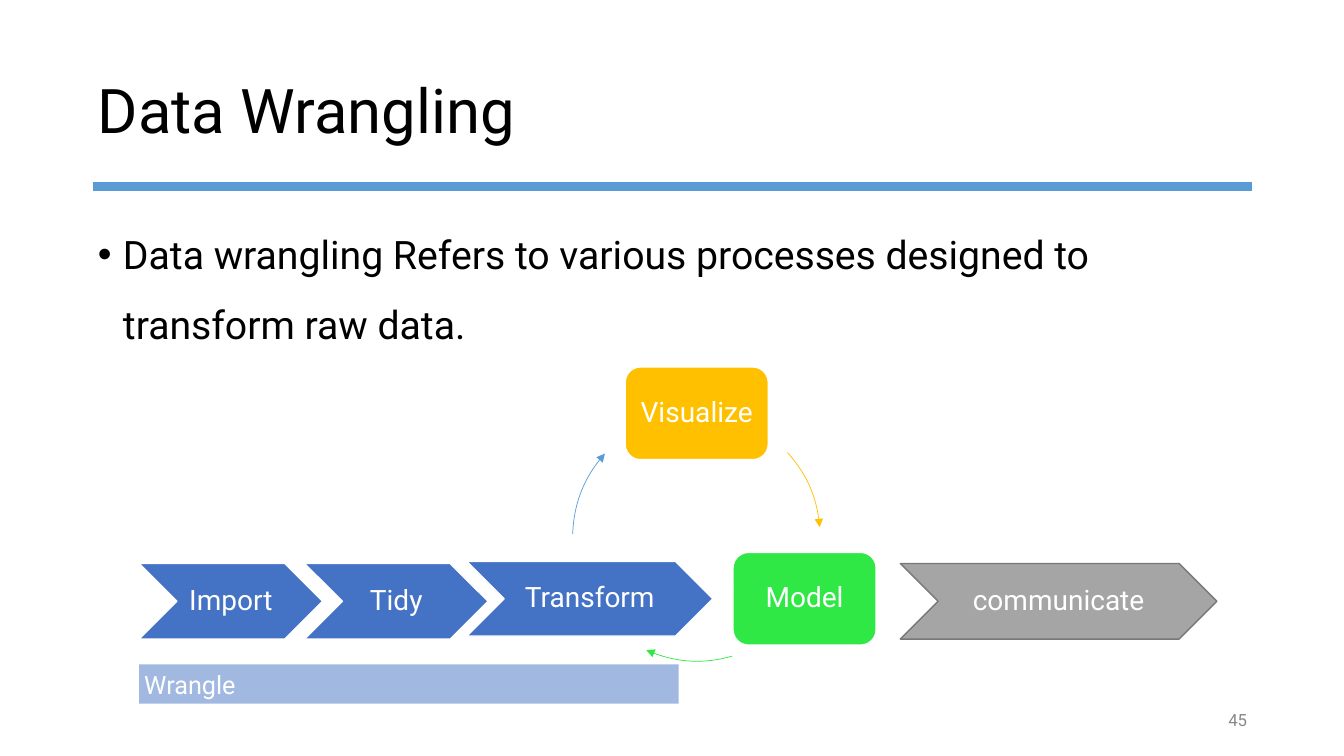
import pptx
import pptx.dml.color
import pptx.enum.shapes
import pptx.enum.text
import pptx.oxml
import pptx.oxml.ns
import pptx.util

PX = 9144  # EMU in one px, 100 px to the inch
COLORS = {
    "black": "000000", "white": "FFFFFF", "sky": "5B9BD5", "blue": "4472C4",
    "gold": "FFC000", "green": "30E845", "gray": "A5A5A5", "edge": "787878",
    "number": "888888",
}
SHAPE = pptx.enum.shapes.MSO_SHAPE
ALIGN = pptx.enum.text.PP_ALIGN
ANCHOR = pptx.enum.text.MSO_ANCHOR
qn = pptx.oxml.ns.qn

# kind, text, box, fill, line
STEPS = [
    (SHAPE.CHEVRON, "Import", (138, 559, 182, 75), "blue", "white"),
    (SHAPE.CHEVRON, "Tidy", (302, 559, 182, 75), "blue", "white"),
    (SHAPE.CHEVRON, "Transform", (463, 557, 244, 74), "blue", "white"),
    (SHAPE.CHEVRON, "communicate", (893, 559, 314, 75), "gray", "edge"),
    (SHAPE.ROUNDED_RECTANGLE, "Visualize", (620, 364, 142, 92), "gold", "white"),
    (SHAPE.ROUNDED_RECTANGLE, "Model", (727, 548, 142, 92), "green", "white"),
]
# start, two control points and end of each curve
ARCS = [
    ("sky", (568, 530), (569, 501), (580, 472), (600, 450)),
    ("gold", (781, 449), (800, 470), (811, 496), (813, 523)),
    ("green", (726, 651), (698, 659), (668, 657), (641, 645)),
]


def rgb(name):
    return pptx.dml.color.RGBColor.from_string(COLORS[name])


def scale(*sizes):
    return [pptx.util.Emu(size * PX) for size in sizes]


def apply(target, values):
    for name, value in values.items():
        setattr(target, name, value)


def node(tag, **attrs):
    item = pptx.oxml.parse_xml(f"<a:{tag} {pptx.oxml.ns.nsdecls('a')}/>")
    for name, value in attrs.items():
        item.set(name, value)
    return item


def write(shape, text, size, color, inset=5, wrap=True, anchor=ANCHOR.TOP,
          align=ALIGN.LEFT, spacing=1.0, bullet=None):
    """Fill a shape or text box with one paragraph."""
    frame = shape.text_frame
    sides = ("left", "top", "right", "bottom")
    apply(frame, {f"margin_{side}": scale(inset)[0] for side in sides})
    apply(frame, {"word_wrap": wrap, "vertical_anchor": anchor})
    para = frame.paragraphs[0]
    apply(para, {"text": text, "alignment": align, "line_spacing": spacing})
    if bullet:
        props = para._p.get_or_add_pPr()
        indent = 25 * PX
        props.set("marL", str(indent))
        props.set("indent", str(-indent))
        props.append(node("buFont", typeface="Arial"))
        props.append(node("buChar", char=bullet))
    font = para.runs[0].font
    apply(font, {"name": "Roboto", "size": pptx.util.Pt(size)})
    font.color.rgb = rgb(color)


def add_text(slide, box, text, size, color, **style):
    write(slide.shapes.add_textbox(*scale(*box)), text, size, color, **style)


def add_block(slide, kind, box, fill, line=None):
    block = slide.shapes.add_shape(kind, *scale(*box))
    block.shadow.inherit = False
    block.fill.solid()
    block.fill.fore_color.rgb = rgb(fill)
    if line:
        block.line.color.rgb = rgb(line)
        block.line.width = pptx.util.Pt(1)
    else:
        block.line.fill.background()
    return block


def add_step(slide, kind, text, box, fill, line):
    block = add_block(slide, kind, box, fill, line)
    write(block, text, 20, "white", inset=3, anchor=ANCHOR.MIDDLE,
          align=ALIGN.CENTER, spacing=0.9)


def add_band(slide, box, text):
    band = add_block(slide, SHAPE.RECTANGLE, box, "blue")
    tint = next(band.element.spPr.iter(qn("a:srgbClr")))
    tint.append(node("alpha", val="50000"))
    write(band, text, 18, "white")


def add_arc(slide, color, start, *points):
    """Draw a Bezier arrow: its straight segments become one cubic curve."""
    pen = slide.shapes.build_freeform(*start, scale=PX)
    pen.add_line_segments(points, close=False)
    arc = pen.convert_to_shape()
    legs = list(arc.element.iter(qn("a:lnTo")))
    curve = node("cubicBezTo")
    legs[0].addprevious(curve)
    for leg in legs:
        curve.append(leg[0])
        leg.getparent().remove(leg)
    arc.shadow.inherit = False
    arc.fill.background()
    arc.line.color.rgb = rgb(color)
    arc.line.width = pptx.util.Pt(0.5)
    arc.line._get_or_add_ln().append(node("tailEnd", type="triangle"))


def add_rule(slide, ends, color, width):
    kind = pptx.enum.shapes.MSO_CONNECTOR.STRAIGHT
    rule = slide.shapes.add_connector(kind, *scale(*ends))
    rule.line.color.rgb = rgb(color)
    rule.line.width = pptx.util.Pt(width)
    rule._element.spPr.append(node("effectLst"))


def main():
    deck = pptx.Presentation()
    wide, high = scale(1333, 750)
    apply(deck, {"slide_width": wide, "slide_height": high})
    slide = deck.slides.add_slide(deck.slide_layouts[6])

    add_text(slide, (92, 40, 1150, 145), "Data Wrangling", 44, "black",
             anchor=ANCHOR.MIDDLE, spacing=0.9)
    add_text(slide, (92, 200, 1150, 476),
             "Data wrangling Refers to various processes designed to "
             "transform raw data.", 28, "black", spacing=1.5, bullet="•")
    add_rule(slide, (92, 185, 1242, 185), "sky", 6)
    for step in STEPS:
        add_step(slide, *step)
    for arc in ARCS:
        add_arc(slide, *arc)
    add_band(slide, (138, 659, 535, 39), "Wrangle")
    add_text(slide, (1212, 700, 30, 29), "45", 12, "number", wrap=False,
             anchor=ANCHOR.MIDDLE, align=ALIGN.RIGHT)
    deck.save("out.pptx")


if __name__ == "__main__":
    main()
